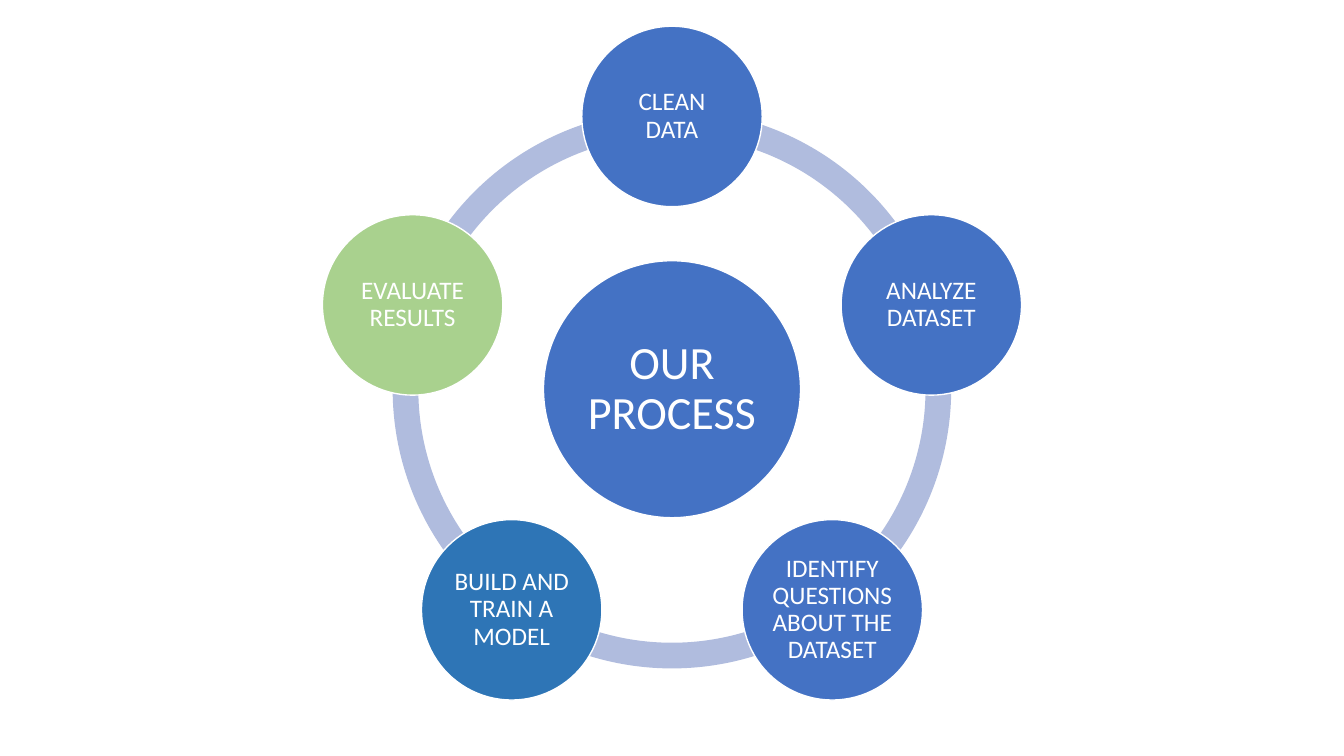
from math import cos, radians, sin

from pptx import Presentation
from pptx.dml.color import RGBColor
from pptx.enum.shapes import MSO_SHAPE
from pptx.enum.text import MSO_ANCHOR, PP_ALIGN
from pptx.util import Pt

ARC, CIRCLE = MSO_SHAPE.BLOCK_ARC, MSO_SHAPE.OVAL
MIDDLE, CENTER = MSO_ANCHOR.MIDDLE, PP_ALIGN.CENTER

FONT = "Calibri"
WHITE, BLUE, DARK_BLUE, GREEN, PALE_BLUE = "FFFFFF", "4472C4", "2E75B6", "A9D18E", "B0BCDE"

# Lengths in points
HUB_X, HUB_Y, HUB_SIZE = 480, 278, 183.6
ORBIT, STEP_SIZE = 194.8, 128.9
RING_SIZE, RING_THICKNESS = 399, 0.046
ANGLE_UNIT = 0.6  # one degree in python-pptx adjustment units

# Clockwise from the top
STEPS = [
    ("CLEAN DATA", BLUE),
    ("ANALYZE DATASET", BLUE),
    ("IDENTIFY QUESTIONS ABOUT THE DATASET", BLUE),
    ("BUILD AND TRAIN A MODEL", DARK_BLUE),
    ("EVALUATE RESULTS", GREEN),
]


def paint(color_format, hex_color):
    color_format.rgb = RGBColor.from_string(hex_color)


def add_centered(slide, kind, x, y, size, color):
    shape = slide.shapes.add_shape(kind, Pt(x - size / 2), Pt(y - size / 2), Pt(size), Pt(size))
    shape.shadow.inherit = False
    shape.fill.solid()
    paint(shape.fill.fore_color, color)
    shape.line.fill.background()
    return shape


def write(shape, text, size, inset, color=WHITE):
    frame = shape.text_frame
    frame.word_wrap = True
    frame.vertical_anchor = MIDDLE
    frame.margin_left = frame.margin_right = Pt(inset)
    frame.margin_top = frame.margin_bottom = Pt(inset)
    paragraph = frame.paragraphs[0]
    paragraph.alignment = CENTER
    paragraph.line_spacing = 0.9
    run = paragraph.add_run()
    run.text = text
    run.font.name = FONT
    run.font.size = Pt(size)
    paint(run.font.color, color)


def add_arc(slide, start, end):
    arc = add_centered(slide, ARC, HUB_X, HUB_Y, RING_SIZE, PALE_BLUE)
    arc.adjustments[0] = start % 360 * ANGLE_UNIT
    arc.adjustments[1] = end % 360 * ANGLE_UNIT
    arc.adjustments[2] = RING_THICKNESS


def add_circle(slide, x, y, size, color, text, font_size, inset):
    circle = add_centered(slide, CIRCLE, x, y, size, color)
    paint(circle.line.color, WHITE)
    circle.line.width = Pt(1)
    write(circle, text, font_size, inset)


def main():
    prs = Presentation()
    prs.slide_width, prs.slide_height = Pt(960), Pt(540)
    slide = prs.slides.add_slide(prs.slide_layouts[6])

    turn = 360 / len(STEPS)
    angles = [-90 + turn * i for i in range(len(STEPS))]

    # Ring
    for angle in angles:
        add_arc(slide, angle, angle + turn)

    # Hub
    add_circle(slide, HUB_X, HUB_Y, HUB_SIZE, BLUE, "OUR PROCESS", 33, 3.3)

    # Steps around the hub
    for angle, (label, color) in zip(angles, STEPS):
        x = HUB_X + ORBIT * cos(radians(angle))
        y = HUB_Y + ORBIT * sin(radians(angle))
        add_circle(slide, x, y, STEP_SIZE, color, label, 18, 1.8)

    prs.save("out.pptx")


main()
